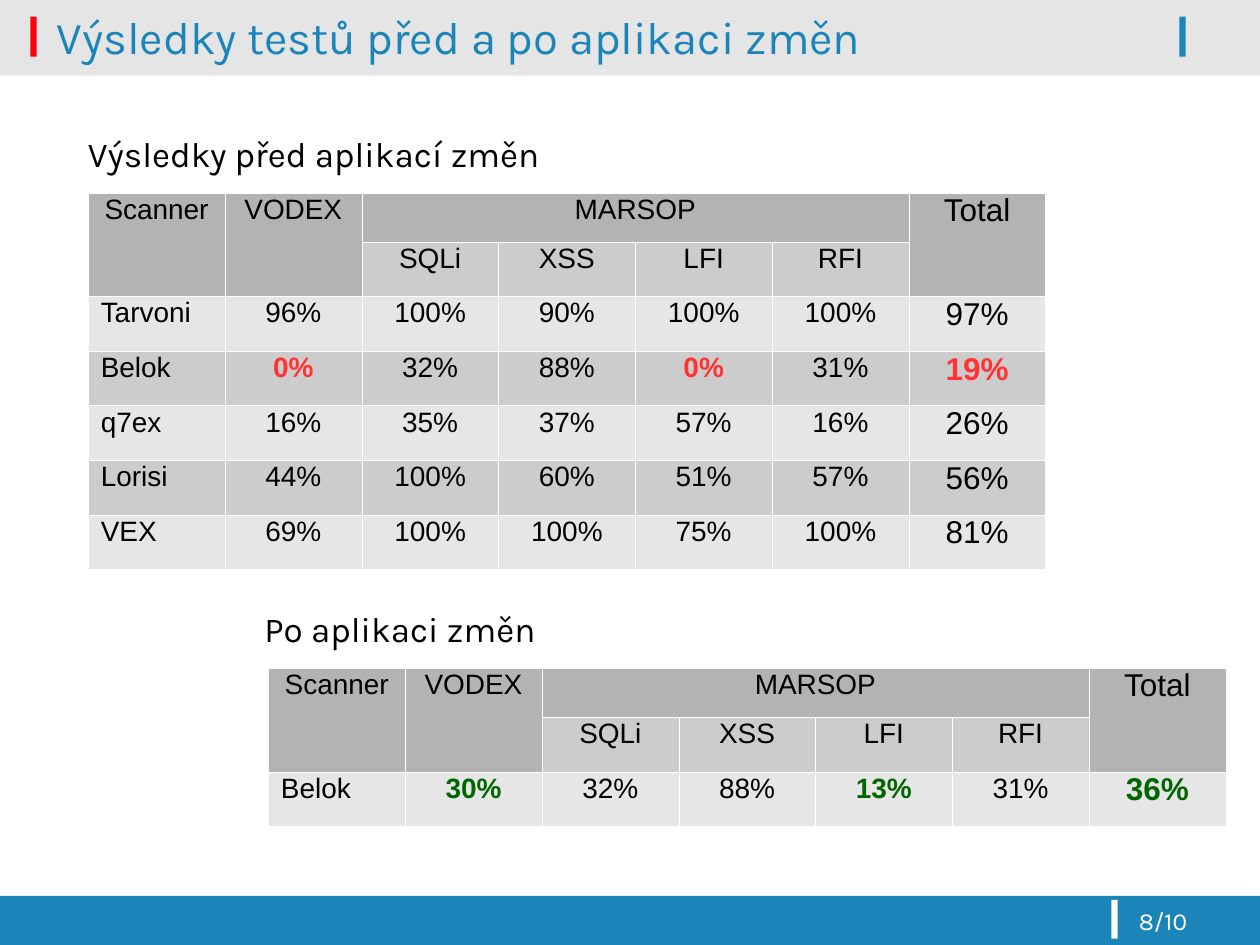
from lxml import etree
from pptx import Presentation
from pptx.dml.color import RGBColor
from pptx.enum.shapes import MSO_SHAPE
from pptx.enum.text import MSO_ANCHOR, PP_ALIGN
from pptx.oxml.ns import qn
from pptx.util import Inches, Pt

RECT = MSO_SHAPE.RECTANGLE
TOP, MIDDLE = MSO_ANCHOR.TOP, MSO_ANCHOR.MIDDLE
LEFT, CENTER = PP_ALIGN.LEFT, PP_ALIGN.CENTER

SLIDE_W, SLIDE_H = 10, 7.5
BLUE, RED_BAR, WHITE, BLACK = "1B85B9", "FE000C", "FFFFFF", "000000"
HEAD_GREY, DARK_ROW, LIGHT_ROW = "B3B3B3", "CCCCCC", "E6E6E6"
WORSE, BETTER = "FF3333", "006600"

# Row heights of a results block
CAPTION_ROW, CAPTION_TEXT, HEAD_ROW = 0.53, 0.43, 0.39
TEXT_INSET = 0.1

GROUP_HEADS = ["Scanner", "VODEX", "MARSOP", "", "", "", "Total"]
TEST_HEADS = ["", "", "SQLi", "XSS", "LFI", "RFI", ""]
HEAD_MERGES = [((0, 0), (1, 0)), ((0, 1), (1, 1)),
               ((0, 2), (0, 5)), ((0, 6), (1, 6))]
BEFORE = [
    ["Tarvoni", "96%", "100%", "90%", "100%", "100%", "97%"],
    ["Belok", "0%", "32%", "88%", "0%", "31%", "19%"],
    ["q7ex", "16%", "35%", "37%", "57%", "16%", "26%"],
    ["Lorisi", "44%", "100%", "60%", "51%", "57%", "56%"],
    ["VEX", "69%", "100%", "100%", "75%", "100%", "81%"],
]
AFTER = [["Belok", "30%", "32%", "88%", "13%", "31%", "36%"]]


def color(hex_code):
    return RGBColor.from_string(hex_code)


def inside(box, x, y, w, h):
    """Turn shares of a box into inches."""
    left, top, width, height = box
    return left + x * width, top + y * height, w * width, h * height


def lengths(box):
    return [Inches(value) for value in box]


def write(paragraph, text, size, font, hex_code, bold=False):
    run = paragraph.add_run()
    run.text = text
    for name, value in {"size": Pt(size), "name": font, "bold": bold}.items():
        setattr(run.font, name, value)
    run.font.color.rgb = color(hex_code)


def add_bar(slide, box, hex_code, opacity=None):
    bar = slide.shapes.add_shape(RECT, *lengths(box))
    bar.shadow.inherit = False
    bar.fill.solid()
    bar.fill.fore_color.rgb = color(hex_code)
    bar.line.fill.background()
    if opacity is not None:
        tint = bar.fill._xPr.find(".//" + qn("a:srgbClr"))
        etree.SubElement(tint, qn("a:alpha"), val=str(opacity * 1000))


def add_label(slide, box, text, size, hex_code, anchor=TOP, wrap=True):
    frame = slide.shapes.add_textbox(*lengths(box)).text_frame
    for name, value in {"word_wrap": wrap, "vertical_anchor": anchor}.items():
        setattr(frame, name, value)
    write(frame.paragraphs[0], text, size, "Karla", hex_code)


def add_header(slide, box, title):
    # Grey band with its lower edge, then the two markers
    add_bar(slide, inside(box, 0, 0.93, 1, 0.07), BLACK, opacity=10)
    add_bar(slide, inside(box, 0, 0, 1, 0.93), BLACK, opacity=10)
    for x, hex_code in ((0.024, RED_BAR), (0.936, BLUE)):
        add_bar(slide, inside(box, x, 0.22, 0.005, 0.53), hex_code)
    add_label(slide, inside(box, 0.035, -0.18, 0.842, 1.32), title, 26, BLUE, MIDDLE)


def add_footer(slide, box, page):
    add_bar(slide, box, BLUE)
    add_bar(slide, inside(box, 0.882, 0.08, 0.005, 0.79), WHITE)
    add_label(slide, inside(box, 0.894, 0.08, 0.09, 0.92), page, 14, WHITE)


def add_borders(cell):
    properties = cell._tc.get_or_add_tcPr()
    for position, side in enumerate(("a:lnL", "a:lnR", "a:lnT", "a:lnB")):
        line = etree.Element(qn(side), w=str(Pt(0.06)))
        fill = etree.SubElement(line, qn("a:solidFill"))
        etree.SubElement(fill, qn("a:srgbClr"), val=WHITE)
        properties.insert(position, line)


def row_fill(row, column):
    if row == 0 or (row == 1 and not TEST_HEADS[column]):
        return HEAD_GREY
    return DARK_ROW if row % 2 else LIGHT_ROW


def add_results(slide, box, caption, caption_left, scores, marked, mark_color):
    left, top, width, height = box
    add_label(slide, (caption_left - TEXT_INSET, top, width / 2, CAPTION_TEXT),
              caption, 20, BLACK, wrap=False)

    # Equal columns; equal rows below the first one
    rows = [GROUP_HEADS, TEST_HEADS] + scores
    total = len(GROUP_HEADS) - 1
    table_box = left, top + CAPTION_ROW, width, height - CAPTION_ROW
    table = slide.shapes.add_table(len(rows), total + 1, *lengths(table_box)).table
    body_row = (table_box[3] - HEAD_ROW) / (len(rows) - 1)
    for index, row in enumerate(table.rows):
        row.height = Inches(body_row if index else HEAD_ROW)

    for r, texts in enumerate(rows):
        for c, text in enumerate(texts):
            cell = table.cell(r, c)
            cell.fill.solid()
            cell.fill.fore_color.rgb = color(row_fill(r, c))
            add_borders(cell)
            if not text:
                continue
            paragraph = cell.text_frame.paragraphs[0]
            paragraph.alignment = LEFT if c == 0 and r > 1 else CENTER
            paragraph.line_spacing = 0.81
            highlight = r > 1 and text in marked
            write(paragraph, text, 18 if c == total else 16, "Arial",
                  mark_color if highlight else BLACK, highlight)

    for first, last in HEAD_MERGES:
        table.cell(*first).merge(table.cell(*last))


def main():
    deck = Presentation()
    deck.slide_width, deck.slide_height = Inches(SLIDE_W), Inches(SLIDE_H)
    slide = deck.slides.add_slide(deck.slide_layouts[6])
    page = (0, 0, SLIDE_W, SLIDE_H)

    add_header(slide, inside(page, 0, 0, 1, 0.08),
               "Výsledky testů před a po aplikaci změn")
    add_footer(slide, (0, 7.11, SLIDE_W, 0.39), "8/10")
    add_results(slide, (0.7, 1, 7.6, 3.52), "Výsledky před aplikací změn", 0.7,
                BEFORE, {"0%", "19%"}, WORSE)
    add_results(slide, (2.13, 4.77, 7.6, 1.79), "Po aplikaci změn", 2.1,
                AFTER, {"30%", "13%", "36%"}, BETTER)
    deck.save("out.pptx")


if __name__ == "__main__":
    main()
